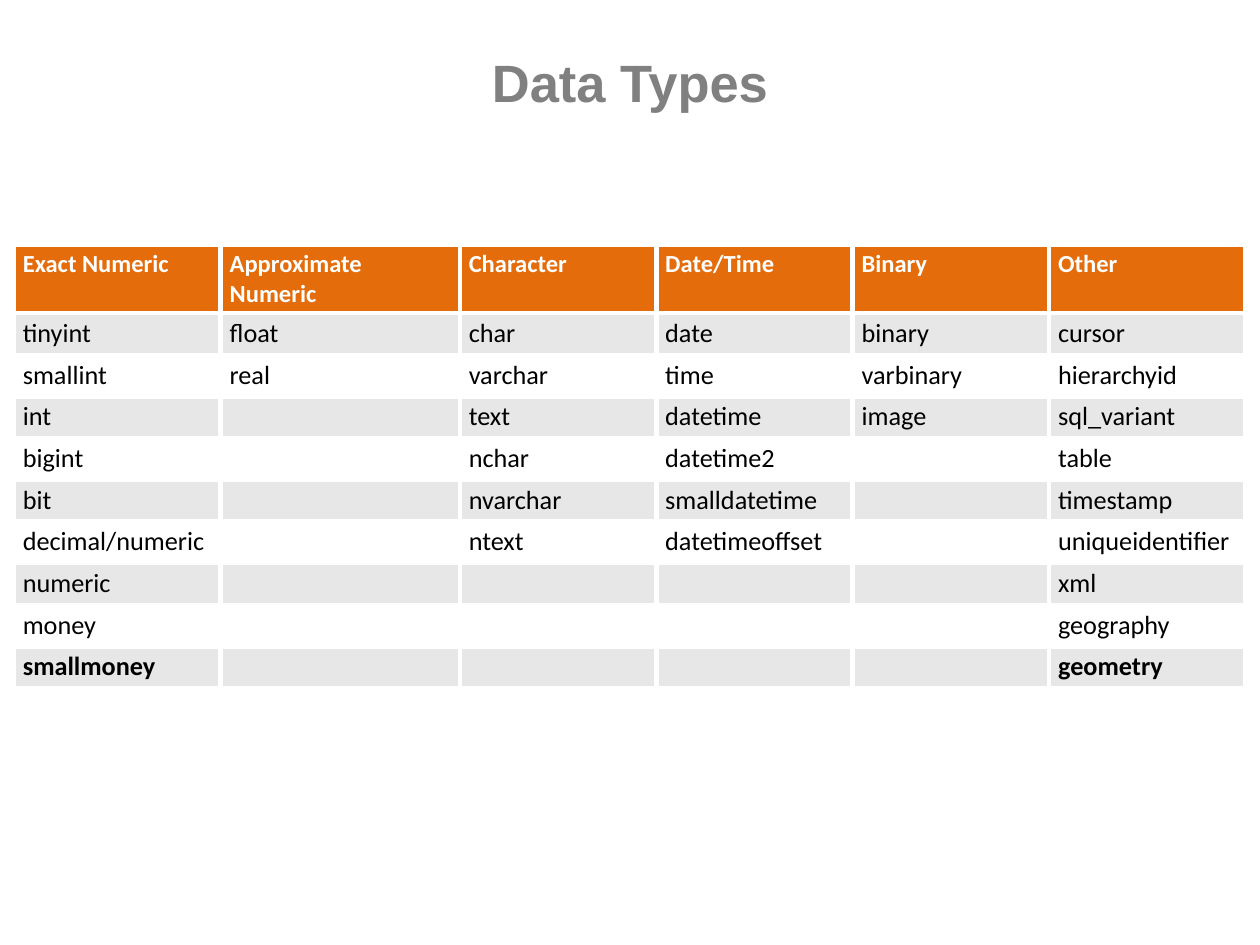
"""Build a slide with a table of SQL data types by category."""
from lxml.etree import SubElement
from pptx import Presentation
from pptx.dml.color import RGBColor
from pptx.enum.text import MSO_ANCHOR, PP_ALIGN
from pptx.oxml.ns import qn
from pptx.util import Cm, Pt

COLORS = {
    "title": "808080",
    "header": "E46C0A",
    "band": "E7E7E7",
    "white": "FFFFFF",
    "text": "000000",
}
TYPES = {
    "Exact Numeric": ["tinyint", "smallint", "int", "bigint", "bit",
                      "decimal/numeric", "numeric", "money", "smallmoney"],
    "Approximate Numeric": ["float", "real"],
    "Character": ["char", "varchar", "text", "nchar", "nvarchar", "ntext"],
    "Date/Time": ["date", "time", "datetime", "datetime2",
                  "smalldatetime", "datetimeoffset"],
    "Binary": ["binary", "varbinary", "image"],
    "Other": ["cursor", "hierarchyid", "sql_variant", "table", "timestamp",
              "uniqueidentifier", "xml", "geography", "geometry"],
}
WIDTHS = [4.17, 4.82, 3.96, 3.96, 3.96, 3.96]
HEADER_HEIGHT = 0.77
ROW_HEIGHT = 0.84


def add_text(paragraph, text, font_name, size, color, bold):
    run = paragraph.add_run()
    run.text = text
    run.font.name = font_name
    run.font.size = Pt(size)
    run.font.bold = bold
    run.font.color.rgb = RGBColor.from_string(COLORS[color])


def add_borders(cell):
    properties = cell._tc.get_or_add_tcPr()
    for side in ("a:lnL", "a:lnR", "a:lnT", "a:lnB"):
        border = SubElement(properties, qn(side), w=str(Pt(3)))
        fill = SubElement(border, qn("a:solidFill"))
        SubElement(fill, qn("a:srgbClr"), val=COLORS["white"])


prs = Presentation()
prs.slide_width, prs.slide_height = Cm(25.4), Cm(19.05)
slide = prs.slides.add_slide(prs.slide_layouts[5])

title = slide.shapes.title
title.left, title.top, title.width, title.height = Cm(1.27), Cm(0.76), Cm(22.86), Cm(1.75)
title.text_frame.vertical_anchor = MSO_ANCHOR.MIDDLE
heading = title.text_frame.paragraphs[0]
heading.alignment = PP_ALIGN.CENTER
add_text(heading, "Data Types", "Arial", 30, "title", True)

last_row = max(len(names) for names in TYPES.values())
type_table = slide.shapes.add_table(
    last_row + 1, len(TYPES), Cm(0.28), Cm(4.93),
    Cm(sum(WIDTHS)), Cm(HEADER_HEIGHT + last_row * ROW_HEIGHT)).table

for column, width in zip(type_table.columns, WIDTHS):
    column.width = Cm(width)
for row_index, row in enumerate(type_table.rows):
    row.height = Cm(ROW_HEIGHT if row_index else HEADER_HEIGHT)

for column_index, (category, names) in enumerate(TYPES.items()):
    entries = [category] + names
    for row_index in range(last_row + 1):
        is_header = row_index == 0
        cell = type_table.cell(row_index, column_index)
        cell.margin_left = cell.margin_right = Cm(0.18)
        cell.margin_top = cell.margin_bottom = Cm(0.09)
        add_borders(cell)
        cell.fill.solid()
        fill_name = "header" if is_header else "band" if row_index % 2 else "white"
        cell.fill.fore_color.rgb = RGBColor.from_string(COLORS[fill_name])
        paragraph = cell.text_frame.paragraphs[0]
        if row_index < len(entries):
            add_text(paragraph, entries[row_index], "Calibri",
                     14 if is_header else 15,
                     "white" if is_header else "text",
                     row_index in (0, last_row))
        else:
            SubElement(paragraph._p, qn("a:endParaRPr"), sz="1500")

prs.save("out.pptx")
